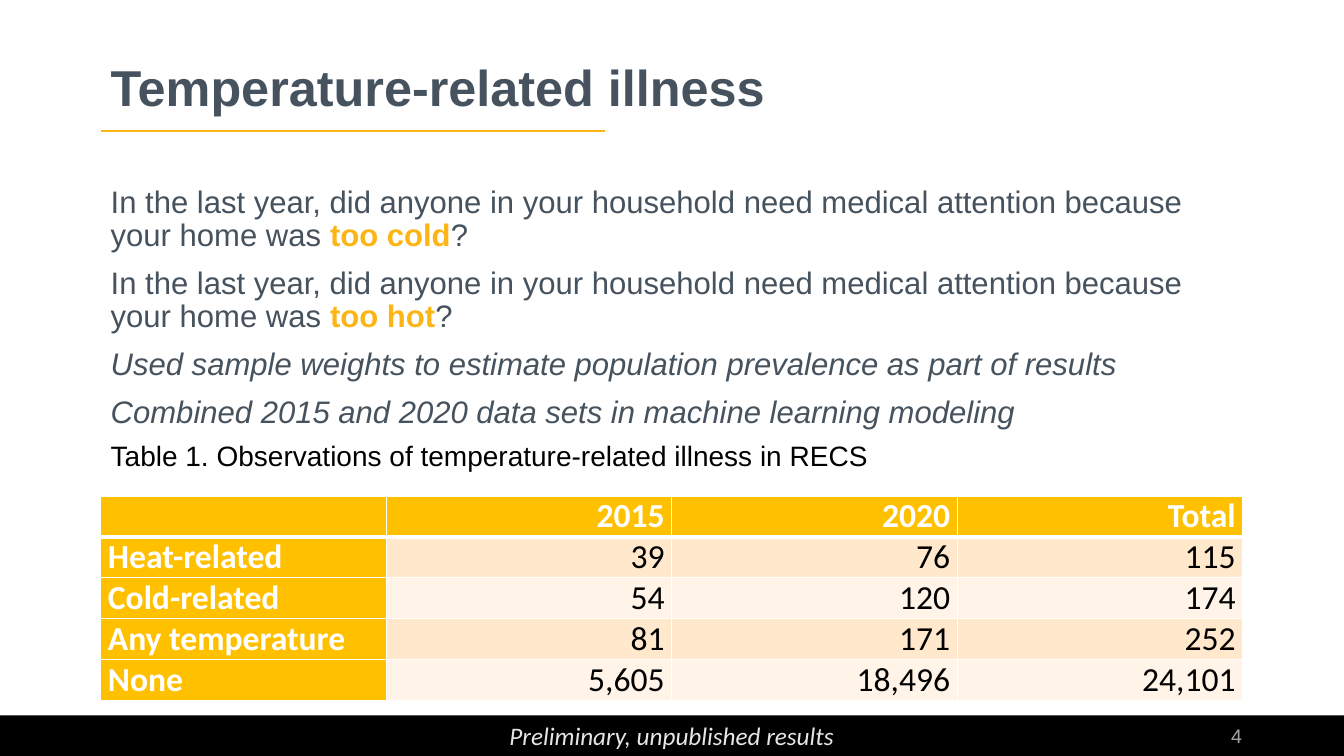
"""Build the slide on temperature-related illness."""
import pptx
import pptx.util
import pptx.dml.color
import pptx.enum.shapes
import pptx.enum.text
import pptx.oxml
import lxml.etree

Cm = pptx.util.Cm
Pt = pptx.util.Pt
ALIGN = pptx.enum.text.PP_ALIGN
ANCHOR = pptx.enum.text.MSO_ANCHOR
NS = "http://schemas.openxmlformats.org/drawingml/2006/main"
SLATE, GOLD, AMBER, WHITE, BLACK = "46535E", "FDB515", "FFC000", "FFFFFF", "000000"


def paint(color, code):
    color.rgb = pptx.dml.color.RGBColor.from_string(code)


def write(para, text, code, **form):
    run = para.add_run()
    run.text = text
    for key, value in form.items():
        setattr(run.font, key, value)
    paint(run.font.color, code)


deck = pptx.Presentation()
deck.slide_width, deck.slide_height = Cm(33.87), Cm(19.05)
slide = deck.slides.add_slide(deck.slide_layouts[6])
shapes = slide.shapes

bar = shapes.add_shape(pptx.enum.shapes.MSO_SHAPE.RECTANGLE, 0, Cm(18.03), Cm(33.87), Cm(1.02))
bar.shadow.inherit = False
bar.fill.solid()
paint(bar.fill.fore_color, BLACK)
bar.line.fill.background()

rule = shapes.add_connector(pptx.enum.shapes.MSO_CONNECTOR.STRAIGHT, Cm(2.54), Cm(3.3), Cm(15.24), Cm(3.3))
rule.line.width = Pt(1)
paint(rule.line.color, GOLD)
lxml.etree.SubElement(rule.element.spPr, f"{{{NS}}}effectLst")

title = {"name": "Arial", "size": Pt(36), "bold": True}
body = {"name": "Arial", "size": Pt(22.2)}
strong = {**body, "bold": True}
slant = {**body, "italic": True}
label = {"name": "Arial", "size": Pt(20)}
footer = {"name": "Calibri", "size": Pt(18), "italic": True}
number = {"name": "Arial", "size": Pt(14)}

ask = "In the last year, did anyone in your household need medical attention because your home was "
points = [
    [(ask, SLATE, body), ("too cold", GOLD, strong), ("?", SLATE, body)],
    [(ask, SLATE, body), ("too hot", GOLD, strong), ("?", SLATE, body)],
    [("Used sample weights to estimate population prevalence as part of results", SLATE, slant)],
    [("Combined 2015 and 2020 data sets in machine learning modeling", SLATE, slant)],
]
caption = "Table 1. Observations of temperature-related illness in RECS"
boxes = [
    (12.55, 18.03, 8.76, 1.02, ANCHOR.TOP, ALIGN.CENTER, 1,
     [[("Preliminary, unpublished results", "E7E6E6", footer)]]),
    (2.54, 1.27, 28.78, 2.03, ANCHOR.MIDDLE, ALIGN.LEFT, 0.9,
     [[("Temperature-related illness", SLATE, title)]]),
    (2.54, 4.57, 28.78, 6.35, ANCHOR.TOP, ALIGN.LEFT, 0.9, points),
    (23.93, 18.03, 7.62, 1.02, ANCHOR.MIDDLE, ALIGN.RIGHT, 1, [[("4", "A6A6A6", number)]]),
    (2.54, 10.92, 21.39, 1.11, ANCHOR.TOP, ALIGN.LEFT, 1, [[(caption, BLACK, label)]]),
]
for left, top, width, height, anchor, align, space, paras in boxes:
    frame = shapes.add_textbox(Cm(left), Cm(top), Cm(width), Cm(height)).text_frame
    frame.word_wrap = True
    frame.vertical_anchor = anchor
    for index, parts in enumerate(paras):
        para = frame.add_paragraph() if index else frame.paragraphs[0]
        para.alignment = align
        para.line_spacing = space
        para.space_before = Pt(10 if index else 0)
        for text, code, form in parts:
            write(para, text, code, **form)

rows = [
    ("", "2015", "2020", "Total"),
    ("Heat-related", "39", "76", "115"),
    ("Cold-related", "54", "120", "174"),
    ("Any temperature", "81", "171", "252"),
    ("None", "5,605", "18,496", "24,101"),
]
pads = {"margin_left": Cm(0.18), "margin_right": Cm(0.18), "margin_top": 0, "margin_bottom": 0}
table = shapes.add_table(5, 4, Cm(2.54), Cm(12.5), Cm(28.78), Cm(5.15)).table
table.first_col = True
for r, row in enumerate(rows):
    for c, text in enumerate(row):
        cell = table.cell(r, c)
        for key, value in pads.items():
            setattr(cell, key, value)
        head = r == 0 or c == 0
        for side in "LRTB":
            thick = (r == 0 and side == "B") or (r == 1 and side == "T")
            cell._tc.get_or_add_tcPr().append(pptx.oxml.parse_xml(
                f'<a:ln{side} xmlns:a="{NS}" w="{Pt(3 if thick else 1)}">'
                f'<a:solidFill><a:srgbClr val="{WHITE}"/></a:solidFill></a:ln{side}>'))
        cell.fill.solid()
        paint(cell.fill.fore_color, AMBER if head else "FFE8CC" if r % 2 else "FFF4E7")
        para = cell.text_frame.paragraphs[0]
        para.alignment = ALIGN.RIGHT if c else ALIGN.LEFT
        if text:
            write(para, text, WHITE if head else BLACK, name="Calibri", size=Pt(24), bold=head)

deck.save("out.pptx")
